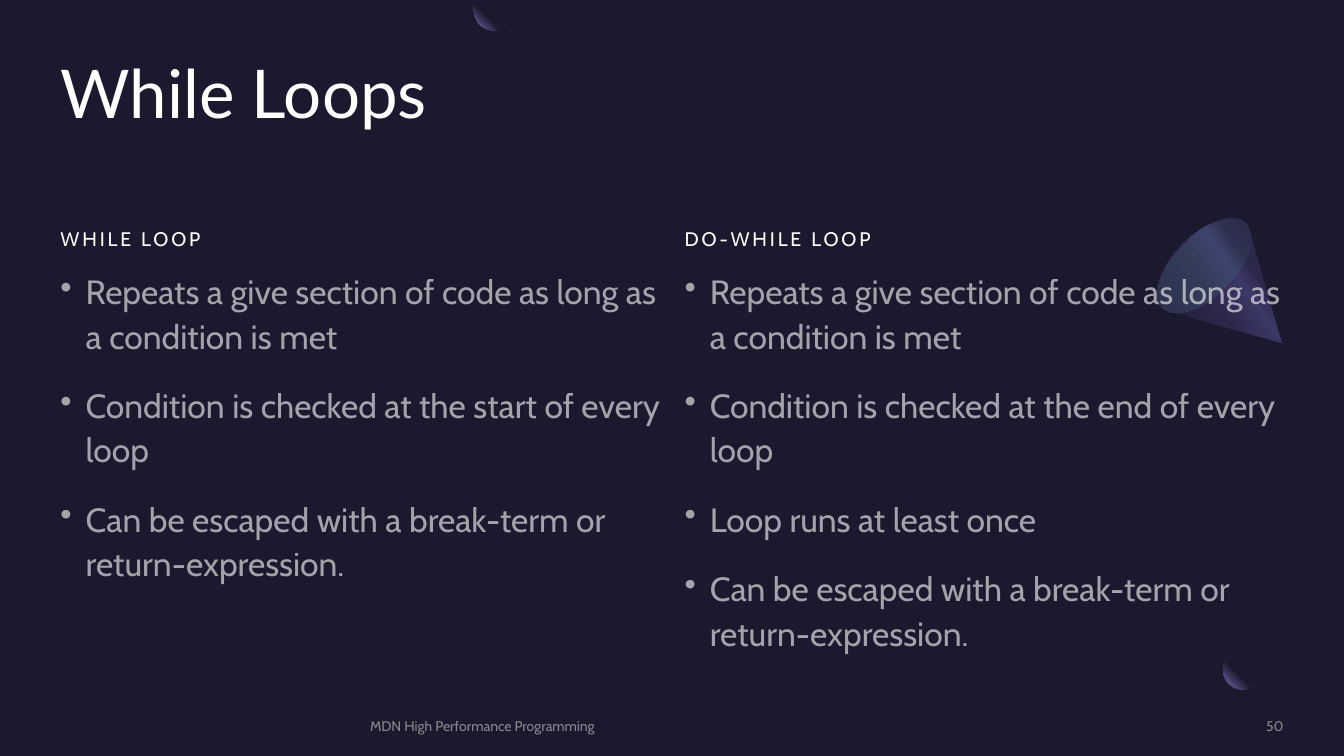
from dataclasses import dataclass
from lxml.etree import SubElement
from pptx import Presentation
from pptx.dml.color import RGBColor
from pptx.enum.shapes import MSO_SHAPE
from pptx.enum.text import MSO_ANCHOR, PP_ALIGN
from pptx.oxml import parse_xml
from pptx.oxml.ns import nsdecls, qn
from pptx.util import Inches, Pt


@dataclass(frozen=True)
class Theme:
    """Colours, fonts and type sizes of the slide."""
    back: str = "1B192E"
    white: str = "FFFFFF"
    grey: str = "A6A6A6"
    glow: str = "7771B2"
    shade: str = "2C284A"
    light: str = "3C3867"
    rim: str = "454075"
    mint: str = "5BEFC1"
    display: str = "Lato"
    body: str = "Cabin"
    title: int = 48
    text: int = 24
    head: int = 14
    foot: int = 10


THEME = Theme()
ORB = [(60, THEME.back, 100), (100, THEME.glow, 100)]
CORNER = ('<a:path path="circle"><a:fillToRect l="100000" b="100000"/>'
          '</a:path>')


def linear(angle):
    """Return the direction element of a linear gradient."""
    return f'<a:lin ang="{angle * 60000}" scaled="0"/>'


def paint(fill, color, alpha=100):
    """Set a solid fill with an opacity in percent."""
    fill.solid()
    fill.fore_color.rgb = RGBColor.from_string(color)
    if alpha < 100:
        node = fill._xPr.find(qn("a:solidFill")).find(qn("a:srgbClr"))
        SubElement(node, qn("a:alpha")).set("val", str(alpha * 1000))


def plain(shape):
    """Remove the shadow and outline of a shape."""
    shape.shadow.inherit = False
    shape.line.fill.background()


def blend(shape, stops, course):
    """Fill a shape with a gradient."""
    plain(shape)
    shape.fill.background()
    marks = "".join(
        f'<a:gs pos="{pos * 1000}"><a:srgbClr val="{color}">'
        f'<a:alpha val="{alpha * 1000}"/></a:srgbClr></a:gs>'
        for pos, color, alpha in stops)
    props = shape._element.spPr
    props.replace(props.find(qn("a:noFill")), parse_xml(
        f'<a:gradFill {nsdecls("a")} rotWithShape="1">'
        f'<a:gsLst>{marks}</a:gsLst>{course}</a:gradFill>'))


def preset(slide, kind, box):
    """Add a preset shape at a box in inches."""
    return slide.shapes.add_shape(kind, *map(Inches, box))


def curve(start, one, two, end, steps=12):
    """Sample a cubic curve, leaving out its start."""
    points = []
    for step in range(1, steps + 1):
        t = step / steps
        u = 1 - t
        points.append(tuple(
            u**3 * a + 3 * u * u * t * b + 3 * u * t * t * c + t**3 * d
            for a, b, c, d in zip(start, one, two, end)))
    return points


def outline(slide, start, parts):
    """Build a closed outline from line ends and curve triples."""
    points = [start]
    for part in parts:
        points += curve(points[-1], *part) if len(part) == 3 else [part]
    spots = [(Inches(x), Inches(y)) for x, y in points]
    build = slide.shapes.build_freeform(*spots[0])
    build.add_line_segments(spots[1:], close=True)
    return build.convert_to_shape()


def write(slide, box, lines, size, color=THEME.white, face=THEME.body,
          alpha=100, anchor=MSO_ANCHOR.TOP, align=PP_ALIGN.LEFT,
          space=1.0, track=0, bullet=False):
    """Add a text box with one run in each paragraph."""
    frame = slide.shapes.add_textbox(*map(Inches, box)).text_frame
    frame.word_wrap = True
    frame.vertical_anchor = anchor
    frame.margin_left = frame.margin_right = 0
    frame.margin_top = frame.margin_bottom = 0
    for index, line in enumerate(lines):
        para = frame.add_paragraph() if index else frame.paragraphs[0]
        if bullet:
            props = para._p.get_or_add_pPr()
            props.set("marL", str(Inches(0.25)))
            props.set("indent", str(-Inches(0.25)))
            SubElement(props, qn("a:buChar")).set("char", "•")
            para.space_before = Pt(10 if index else 0)
            para.space_after = Pt(8)
        para.alignment = align
        para.line_spacing = space
        run = para.add_run()
        run.text = line
        run.font.size = Pt(size)
        run.font.name = face
        paint(run.font.fill, color, alpha)
        if track:
            run._r.get_or_add_rPr().set("spc", str(track * 100))


def orbs(slide):
    """Draw the two glowing balls."""
    ball = preset(slide, MSO_SHAPE.OVAL, (12.13, 6.45, 0.39, 0.39))
    blend(ball, ORB, CORNER)
    veil = preset(slide, MSO_SHAPE.RECTANGLE, (12.52, 6.37, 0.41, 0.39))
    plain(veil)
    paint(veil.fill, THEME.back, 80)
    cut = outline(slide, (4.73, 0), [
        (5.06, 0), (5.08, 0.03),
        ((5.09, 0.05), (5.09, 0.08), (5.09, 0.1)),
        ((5.09, 0.21), (5, 0.3), (4.89, 0.3)),
        ((4.79, 0.3), (4.7, 0.21), (4.7, 0.1)),
        ((4.7, 0.08), (4.7, 0.05), (4.71, 0.03))])
    blend(cut, ORB, CORNER)


def cone(slide):
    """Draw the cone and its open end."""
    side = outline(slide, (12.71, 3.4), [
        (11.58, 3.08), (11.57, 3.08),
        ((11.56, 3.07), (11.54, 3.06), (11.52, 3.05)),
        ((11.41, 2.93), (11.5, 2.65), (11.73, 2.42)),
        ((11.96, 2.19), (12.24, 2.1), (12.36, 2.21)),
        ((12.37, 2.23), (12.38, 2.24), (12.39, 2.26)), (12.39, 2.27)])
    blend(side, [(30, THEME.shade, 100), (40, THEME.light, 100),
                 (60, THEME.shade, 100), (100, THEME.back, 100)],
          linear(145))
    mouth = preset(slide, MSO_SHAPE.OVAL, (11.65, 2.04, 0.59, 1.18))
    mouth.rotation = 225
    blend(mouth, [(0, THEME.rim, 33), (100, THEME.mint, 0)], linear(90))


def column(slide, left, head, points):
    """Add a heading with its bullet list."""
    write(slide, (left, 1.89, 5.95, 0.59), [head], THEME.head,
          anchor=MSO_ANCHOR.BOTTOM, space=1.1, track=2)
    write(slide, (left, 2.65, 5.95, 3.84), points, THEME.text,
          alpha=60, space=1.1, bullet=True)


def footer(slide, box, line, align):
    """Add a small line at the foot of the slide."""
    write(slide, box, [line], THEME.foot, THEME.grey, alpha=80,
          anchor=MSO_ANCHOR.MIDDLE, align=align)


def main():
    """Build and save the slide."""
    deck = Presentation()
    deck.slide_width, deck.slide_height = Inches(13.33), Inches(7.5)
    slide = deck.slides.add_slide(deck.slide_layouts[6])
    paint(slide.background.fill, THEME.back)
    orbs(slide)
    cone(slide)
    write(slide, (0.6, 0.6, 12.14, 1.46), ["While Loops"], THEME.title,
          face=THEME.display, space=0.9)
    repeat = "Repeats a give section of code as long as a condition is met"
    leave = "Can be escaped with a break-term or return-expression."
    column(slide, 0.6, "WHILE LOOP", [
        repeat, "Condition is checked at the start of every loop", leave])
    column(slide, 6.79, "DO-WHILE LOOP", [
        repeat, "Condition is checked at the end of every loop",
        "Loop runs at least once", leave])
    footer(slide, (3.67, 7.12, 6.98, 0.17),
           "MDN High Performance Programming", PP_ALIGN.LEFT)
    footer(slide, (10.88, 7.12, 1.85, 0.17), "50", PP_ALIGN.RIGHT)
    deck.save("out.pptx")


if __name__ == "__main__":
    main()
